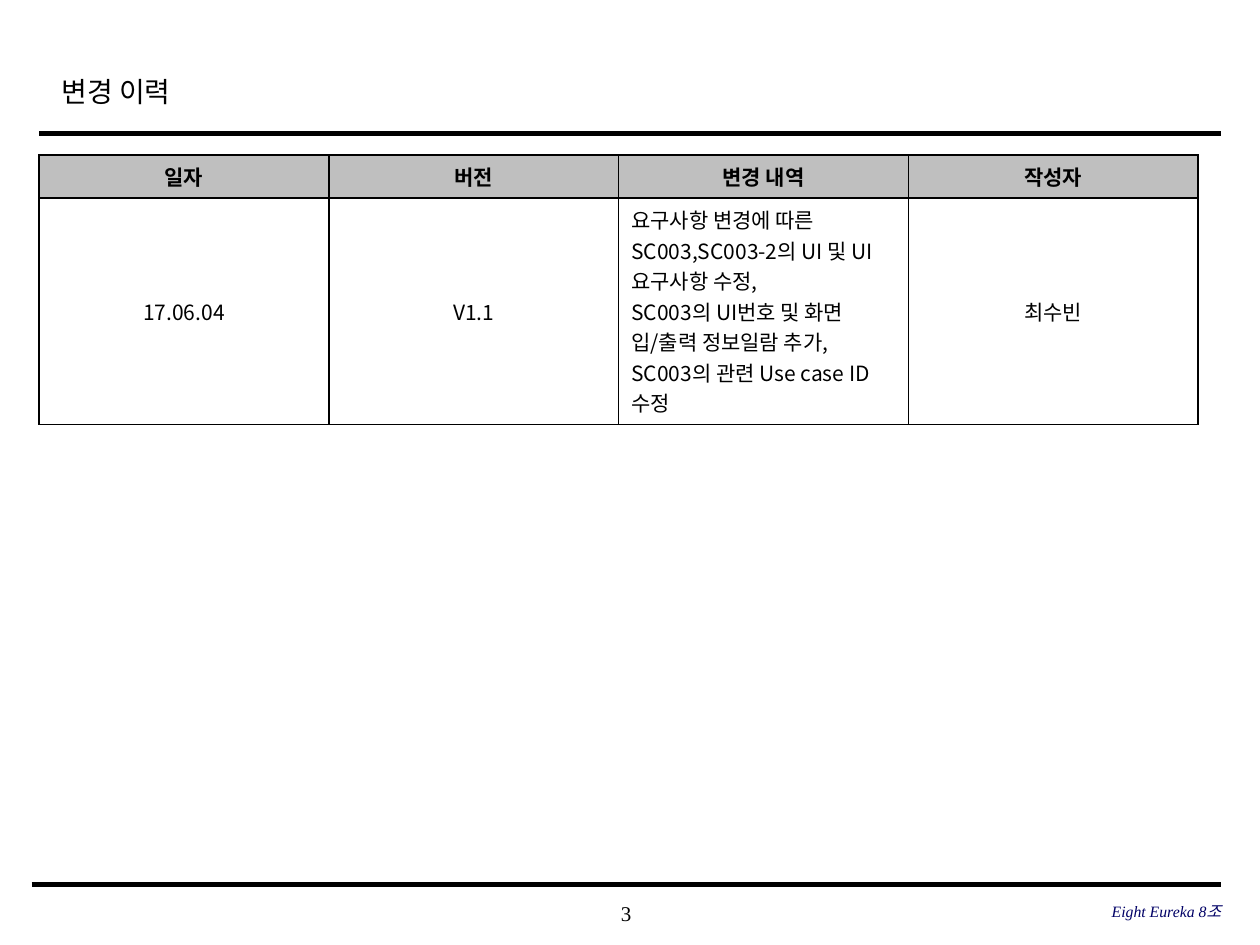
from lxml import etree
from pptx import Presentation, util as u
from pptx.dml.color import RGBColor
from pptx.enum import shapes, text
from pptx.oxml.ns import qn

COLORS = {"ink": "000000", "header": "BFBFBF", "paper": "FFFFFF", "team": "000066"}
SERIF, SANS = "Times New Roman", "Noto Sans CJK KR"
LEFT, RIGHT = 0.31, 9.69
COLUMN_WIDTH = 2.3
ROW_HEIGHTS = (0.34, 1.8)
ROWS = (
    ("일자", "버전", "변경 내역", "작성자"),
    (
        "17.06.04",
        "V1.1",
        "요구사항 변경에 따른 SC003,SC003-2의 UI 및 UI 요구사항 수정,\n"
        "SC003의 UI번호 및 화면 입/출력 정보일람 추가,\n"
        "SC003의 관련 Use case ID 수정",
        "최수빈",
    ),
)


def color(name):
    return RGBColor.from_string(COLORS[name])


def write(frame, words, size, font, align, ink="ink", bold=False, italic=False):
    frame.text = words
    for para in frame.paragraphs:
        para.alignment = align
        for span in para.runs:
            span.font.size = u.Pt(size)
            span.font.name = font
            span.font.bold = bold
            span.font.italic = italic
            span.font.color.rgb = color(ink)


def add_label(page, words, left, top, width, height, size, align, **style):
    box = page.shapes.add_textbox(*map(u.Inches, (left, top, width, height)))
    frame = box.text_frame
    frame.word_wrap = True
    write(frame, words, size, SERIF, align, **style)
    return frame


def add_footer(page, words, left, top, width, size, align, **style):
    frame = add_label(page, words, left, top, width, 0.33, size, align, **style)
    frame.vertical_anchor = text.MSO_ANCHOR.MIDDLE
    frame.margin_left = frame.margin_right = 0
    frame.margin_top = frame.margin_bottom = 0


def add_rule(page, left, top, weight):
    rule = page.shapes.add_connector(
        shapes.MSO_CONNECTOR.STRAIGHT, *map(u.Inches, (left, top, RIGHT, top))
    )
    rule.line.width = u.Pt(weight)
    rule.line.color.rgb = color("ink")
    etree.SubElement(rule._element.spPr, qn("a:effectLst"))


def set_borders(cell):
    properties = cell._tc.get_or_add_tcPr()
    for position, side in enumerate(("lnL", "lnR", "lnT", "lnB")):
        border = etree.Element(qn(f"a:{side}"), w=str(u.Pt(1)))
        fill = etree.SubElement(border, qn("a:solidFill"))
        etree.SubElement(fill, qn("a:srgbClr"), val=COLORS["ink"])
        properties.insert(position, border)


def add_history(page):
    columns = len(ROWS[0])
    table = page.shapes.add_table(
        len(ROWS), columns, u.Inches(LEFT), u.Inches(1.23),
        u.Inches(COLUMN_WIDTH * columns), u.Inches(sum(ROW_HEIGHTS)),
    ).table
    for row, height in zip(table.rows, ROW_HEIGHTS):
        row.height = u.Inches(height)
    for r, row in enumerate(ROWS):
        for c, words in enumerate(row):
            cell = table.cell(r, c)
            align = text.PP_ALIGN.LEFT if "\n" in words else text.PP_ALIGN.CENTER
            write(cell.text_frame, words, 12, SANS, align, bold=r == 0)
            cell.vertical_anchor = text.MSO_ANCHOR.MIDDLE
            cell.fill.solid()
            cell.fill.fore_color.rgb = color("paper" if r else "header")
            set_borders(cell)


def main():
    deck = Presentation()
    deck.slide_width, deck.slide_height = u.Inches(10), u.Inches(7.5)
    page = deck.slides.add_slide(deck.slide_layouts[6])
    add_footer(page, "3", 3.93, 7.08, 2.08, 12, text.PP_ALIGN.CENTER)
    add_rule(page, LEFT, 1.06, 2.5)
    add_rule(page, 0.25, 7.02, 3)
    title = add_label(page, "변경 이력", 0.39, 0.49, 7.55, 0.5, 16, text.PP_ALIGN.LEFT)
    title.paragraphs[0].line_spacing = 1.2
    add_history(page)
    add_footer(page, "Eight Eureka 8조", 6.63, 7.07, RIGHT - 6.63, 9,
               text.PP_ALIGN.RIGHT, ink="team", italic=True)
    deck.save("out.pptx")


if __name__ == "__main__":
    main()
